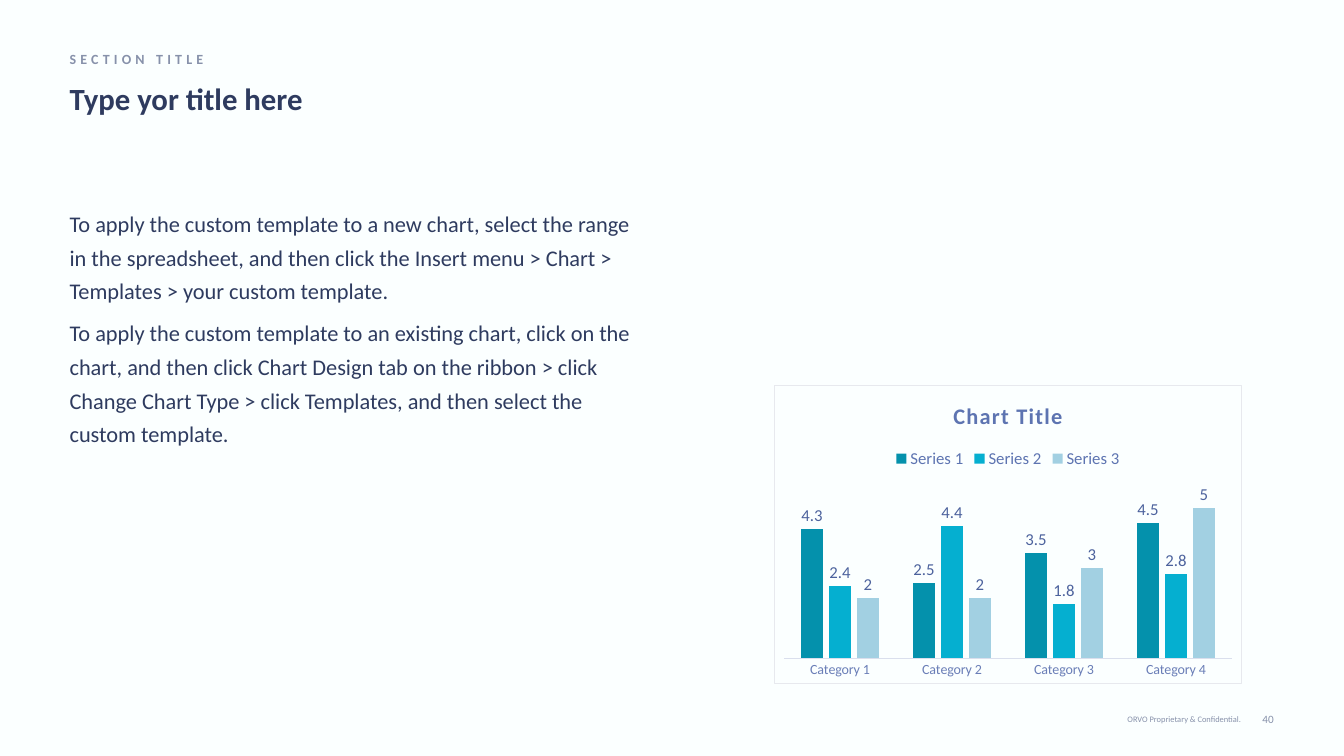
from lxml.etree import fromstring
from pptx import Presentation
from pptx.chart.data import CategoryChartData
from pptx.dml.color import RGBColor
from pptx.enum.chart import XL_CHART_TYPE, XL_LABEL_POSITION, XL_LEGEND_POSITION, XL_TICK_MARK
from pptx.enum.text import MSO_ANCHOR, MSO_AUTO_SIZE, PP_ALIGN
from pptx.util import Pt

FONT = "Calibri"
NAVY, GREY, PAPER, BORDER, AXIS = "2E3B5F", "8791AA", "FBFFFF", "E7E9EE", "DADFED"
HEADING_BLUE, CATEGORY_BLUE, LABEL_BLUE = "5D74B1", "6A7EB7", "4C629D"
LEFT = 49.7
INSTRUCTIONS = [
    "To apply the custom template to a new chart, select the range in the spreadsheet, "
    "and then click the Insert menu > Chart > Templates > your custom template.",
    "To apply the custom template to an existing chart, click on the chart, and then click "
    "Chart Design tab on the ribbon > click Change Chart Type > click Templates, "
    "and then select the custom template.",
]
CATEGORIES = [f"Category {number}" for number in range(1, 5)]
SERIES = [
    ("Series 1", (4.3, 2.5, 3.5, 4.5), "0491AC"),
    ("Series 2", (2.4, 4.4, 1.8, 2.8), "05AFD0"),
    ("Series 3", (2, 2, 3, 5), "A2D0E2"),
]


def color(value):
    """Turn a hex string into a colour."""
    return RGBColor.from_string(value)


def style_font(font, size, fill, bold=False):
    """Set the typeface, size, colour and weight of a font."""
    font.name, font.size, font.bold = FONT, Pt(size), bold
    font.color.rgb = color(fill)


def write_text(frame, lines, size=16, fill=NAVY, bold=False, align=PP_ALIGN.LEFT,
               anchor=MSO_ANCHOR.TOP, spacing=0, leading=None, gap=0, inset=0):
    """Fill a text frame with formatted paragraphs."""
    frame.word_wrap, frame.auto_size = True, MSO_AUTO_SIZE.NONE
    frame.vertical_anchor = anchor
    frame.margin_left = frame.margin_right = 0
    frame.margin_top = frame.margin_bottom = Pt(inset)
    for index, line in enumerate(lines):
        para = frame.paragraphs[0] if index == 0 else frame.add_paragraph()
        para.alignment = align
        para.space_before = Pt(gap if index else 0)
        if leading:
            para.line_spacing = Pt(leading)
        span = para.add_run()
        span.text = line
        style_font(span.font, size, fill, bold)
        if spacing:
            span.font._element.set("spc", str(round(spacing * 100)))


def add_text(page, box, lines, **formatting):
    """Place a text box on the page."""
    shape = page.shapes.add_textbox(*map(Pt, box))
    write_text(shape.text_frame, lines, **formatting)


def add_header(page, left, top, width, height):
    """Place the section label above the slide title."""
    add_text(page, (left, top, width, 18), ["SECTION TITLE"], size=10, fill=GREY,
             bold=True, anchor=MSO_ANCHOR.MIDDLE, spacing=3)
    title = page.shapes.title
    title.left, title.top = Pt(left), Pt(top + 23.7)
    title.width, title.height = Pt(width), Pt(height - 23.7)
    write_text(title.text_frame, ["Type yor title here"], size=22, bold=True)


def add_footer(page, left, top, width, height):
    """Place the confidentiality note and the page number."""
    number_width, note_width = 19.4, 135.4
    middle_right = {"fill": GREY, "align": PP_ALIGN.RIGHT, "anchor": MSO_ANCHOR.MIDDLE}
    add_text(page, (left, top, note_width, height),
             ["ORVO Proprietary & Confidential."], size=6, **middle_right)
    add_text(page, (left + width - number_width, top, number_width, height),
             ["40"], size=8, **middle_right)


def frame_chart(chart):
    """Give the chart area its fill and border."""
    area = fromstring(
        '<c:spPr xmlns:c="http://schemas.openxmlformats.org/drawingml/2006/chart" '
        'xmlns:a="http://schemas.openxmlformats.org/drawingml/2006/main">'
        f'<a:solidFill><a:srgbClr val="{PAPER}"/></a:solidFill>'
        f'<a:ln w="{Pt(0.75)}"><a:solidFill><a:srgbClr val="{BORDER}"/></a:solidFill></a:ln>'
        '</c:spPr>')
    chart._chartSpace.chart.addnext(area)


def style_axes(chart):
    """Show the category axis and hide the value axis."""
    axis = chart.category_axis
    axis.major_tick_mark = axis.minor_tick_mark = XL_TICK_MARK.NONE
    style_font(axis.tick_labels.font, 10, CATEGORY_BLUE)
    axis.format.line.color.rgb = color(AXIS)
    axis.format.line.width = Pt(0.75)
    chart.value_axis.minimum_scale = 0
    chart.value_axis.has_major_gridlines = False
    chart.value_axis.visible = False


def style_columns(plot):
    """Colour and label the columns."""
    plot.gap_width, plot.overlap, plot.vary_by_categories = 150, -25, False
    for series, (_, _, fill) in zip(plot.series, SERIES):
        series.format.fill.solid()
        series.format.fill.fore_color.rgb = color(fill)
        labels = series.data_labels
        labels.show_value = True
        labels.position = XL_LABEL_POSITION.OUTSIDE_END
        style_font(labels.font, 12, LABEL_BLUE)


def add_column_chart(page, left, top, width, height):
    """Place the clustered column chart."""
    data = CategoryChartData()
    data.categories = CATEGORIES
    for name, values, _ in SERIES:
        data.add_series(name, values)
    chart = page.shapes.add_chart(XL_CHART_TYPE.COLUMN_CLUSTERED, Pt(left), Pt(top),
                                  Pt(width), Pt(height), data).chart
    style_font(chart.font, 10, NAVY)
    frame_chart(chart)
    chart.has_title = True
    write_text(chart.chart_title.text_frame, ["Chart Title"], size=16,
               fill=HEADING_BLUE, bold=True, align=PP_ALIGN.CENTER, spacing=1)
    chart.chart_title.include_in_layout = False
    chart.has_legend = True
    chart.legend.position = XL_LEGEND_POSITION.TOP
    chart.legend.include_in_layout = False
    style_font(chart.legend.font, 12, HEADING_BLUE)
    style_axes(chart)
    style_columns(chart.plots[0])


def main():
    """Build and save the slide."""
    deck = Presentation()
    deck.slide_width, deck.slide_height = Pt(960), Pt(540)
    page = deck.slides.add_slide(deck.slide_layouts.get_by_name("Title Only"))
    page.background.fill.solid()
    page.background.fill.fore_color.rgb = color(PAPER)
    add_header(page, LEFT, 33.1, 368.6, 50.4)
    add_text(page, (LEFT, 141.8, 406, 347), INSTRUCTIONS, leading=24, gap=6, inset=3.6)
    add_column_chart(page, 553, 275, 334, 213.8)
    add_footer(page, 751, 504.7, 159, 17.3)
    deck.save("out.pptx")


if __name__ == "__main__":
    main()
